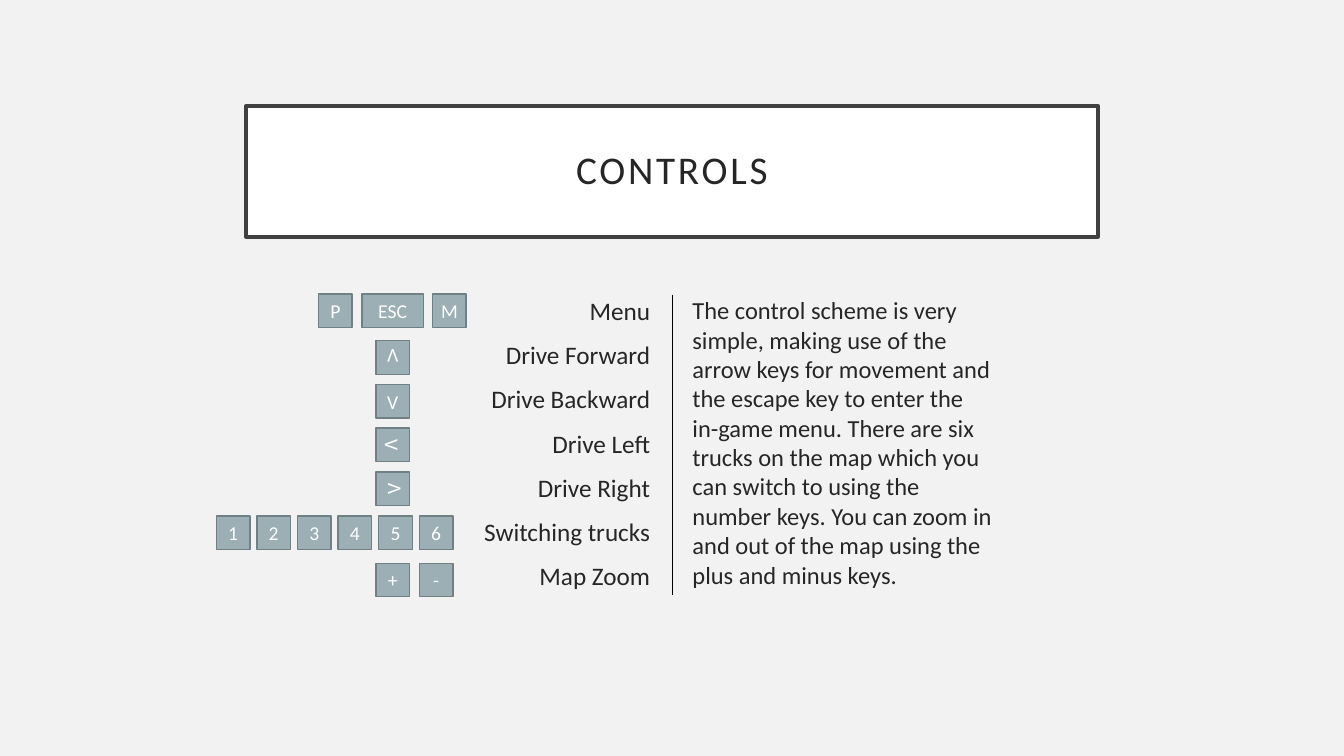
from lxml import etree
from pptx import Presentation
from pptx.dml.color import RGBColor
from pptx.enum.shapes import MSO_CONNECTOR, MSO_SHAPE
from pptx.enum.text import MSO_ANCHOR as ANCHOR, PP_ALIGN as ALIGN
from pptx.oxml.ns import qn
from pptx.util import Pt

COLORS = {
    "background": "F2F2F2",
    "title_fill": "FFFFFF",
    "title_line": "404040",
    "text": "262626",
    "key_fill": "9BAFB5",
    "key_line": "718084",
    "key_text": "FFFFFF",
    "divider": "000000",
}
KEY = 24
CENTER_KEY_X = 268.5
MENU_Y = 210
ARROWS_Y, ARROW_PITCH = 243.3, 31.25
NUMBERS_X, NUMBERS_Y, NUMBER_PITCH = 154.5, 368.5, 29
ZOOM_Y = 402.3

ACTIONS = ["Menu", "Drive Forward", "Drive Backward", "Drive Left",
           "Drive Right", "Switching trucks", "Map Zoom"]
DESCRIPTION = (
    "The control scheme is very simple, making use of the arrow keys for "
    "movement and the escape key to enter the in-game menu. There are six "
    "trucks on the map which you can switch to using the number keys. You can "
    "zoom in and out of the map using the plus and minus keys."
)


class Deck:
    font = "Calibri"

    def __init__(self, slide):
        self.slide = slide
        fill = slide.background.fill
        fill.solid()
        fill.fore_color.rgb = self.color("background")

    def color(self, name):
        return RGBColor.from_string(COLORS[name])

    def set_text(self, shape, lines, size, color, align, anchor, inset=3.6, before=0):
        tf = shape.text_frame
        tf.word_wrap = True
        tf.vertical_anchor = anchor
        tf.margin_left = tf.margin_right = Pt(inset)
        tf.margin_top = tf.margin_bottom = Pt(inset)
        tf.text = "\n".join(lines)
        for p in tf.paragraphs:
            p.alignment = align
            p.space_before = Pt(before)
            p.font.name = self.font
            p.font.size = Pt(size)
            p.font.color.rgb = self.color(color)
        return tf

    def box(self, x, y, w, h, fill, line, weight):
        s = self.slide.shapes.add_shape(
            MSO_SHAPE.RECTANGLE, Pt(x), Pt(y), Pt(w), Pt(h))
        s.shadow.inherit = False
        s.fill.solid()
        s.fill.fore_color.rgb = self.color(fill)
        s.line.color.rgb = self.color(line)
        s.line.width = Pt(weight)
        return s

    def title(self, text, x, y, w, h):
        s = self.box(x, y, w, h, "title_fill", "title_line", 2.5)
        tf = self.set_text(s, [text], 28, "text", ALIGN.CENTER, ANCHOR.MIDDLE, 14.4)
        p = tf.paragraphs[0]
        p.line_spacing = 0.9
        r = p.runs[0]
        r._r.get_or_add_rPr().set("spc", "200")

    def key(self, label, x, y, w=KEY, rotation=0):
        s = self.box(x, y, w, KEY, "key_fill", "key_line", 1)
        s.rotation = rotation
        self.set_text(s, [label], 14, "key_text", ALIGN.CENTER, ANCHOR.MIDDLE)

    def text(self, lines, x, y, w, h, size, align, before):
        s = self.slide.shapes.add_textbox(Pt(x), Pt(y), Pt(w), Pt(h))
        self.set_text(s, lines, size, "text", align, ANCHOR.TOP, before=before)

    def divider(self, x, top, bottom):
        s = self.slide.shapes.add_connector(
            MSO_CONNECTOR.STRAIGHT, Pt(x), Pt(top), Pt(x), Pt(bottom))
        s.line.color.rgb = self.color("divider")
        s.line.width = Pt(0.5)
        etree.SubElement(s._element.spPr, qn("a:effectLst"))


def main():
    prs = Presentation()
    prs.slide_width, prs.slide_height = Pt(960), Pt(540)
    deck = Deck(prs.slides.add_slide(prs.slide_layouts[6]))

    deck.title("CONTROLS", 175.7, 75.6, 608.6, 93.6)
    deck.text(ACTIONS, 258, 207.4, 210, 244, 18, ALIGN.RIGHT, 10)
    deck.text([DESCRIPTION], 491, 207.4, 222.5, 244, 17.5, ALIGN.LEFT, 9)
    deck.divider(480, 210.5, 425)

    for label, x, w in [("P", 227.5, KEY), ("ESC", 258.5, 44), ("M", 309, KEY)]:
        deck.key(label, x, MENU_Y, w)

    # A turned "V" serves as each arrow: up, down, left, right
    for i, rotation in enumerate([180, 0, 90, 270]):
        deck.key("V", CENTER_KEY_X, ARROWS_Y + i * ARROW_PITCH, rotation=rotation)

    for i, digit in enumerate("123456"):
        deck.key(digit, NUMBERS_X + i * NUMBER_PITCH, NUMBERS_Y)

    for label, x in [("+", CENTER_KEY_X), ("-", 299.5)]:
        deck.key(label, x, ZOOM_Y)

    prs.save("out.pptx")


if __name__ == "__main__":
    main()
